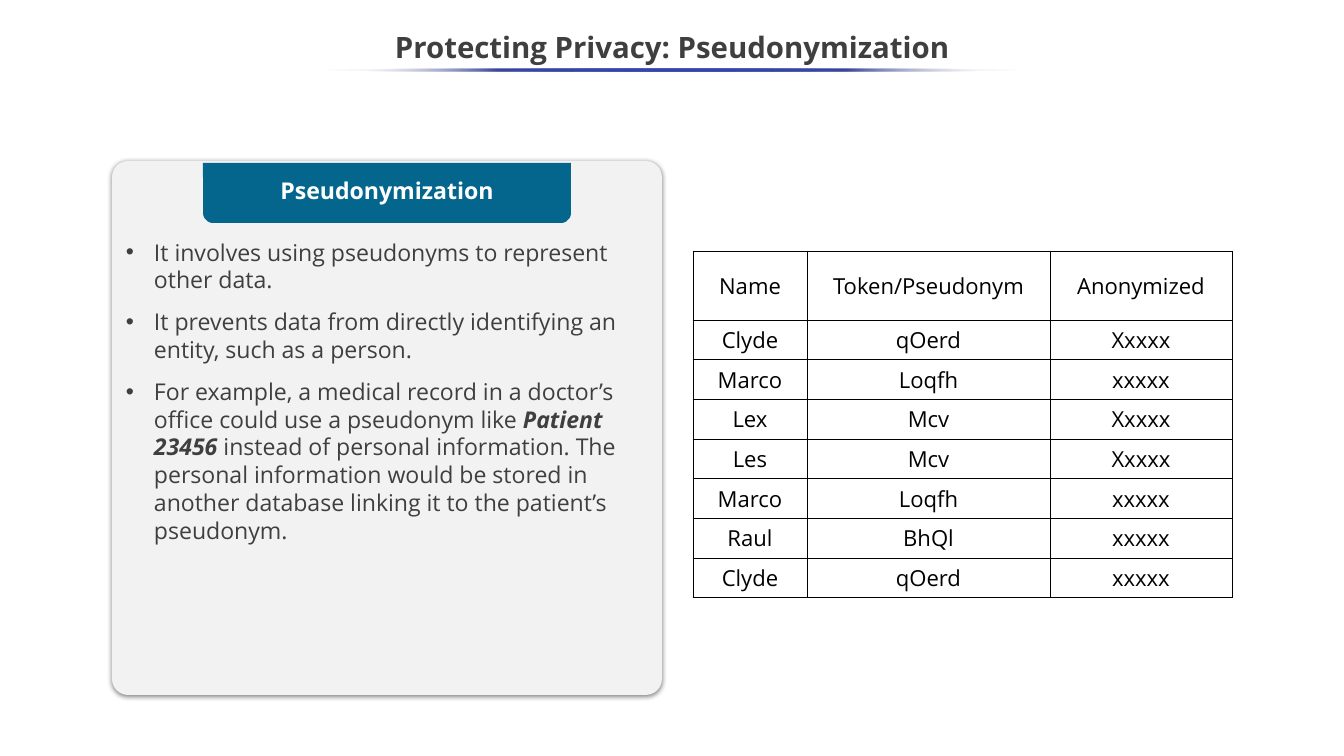
from lxml.etree import SubElement
from pptx import Presentation
from pptx.dml.color import RGBColor
from pptx.enum.shapes import MSO_SHAPE
from pptx.enum.text import MSO_ANCHOR, PP_ALIGN
from pptx.oxml import parse_xml
from pptx.oxml.ns import nsdecls, qn
from pptx.util import Pt

PX = 12095
FONT = "Open Sans"
INK = RGBColor(0x3F, 0x3F, 0x3F)
WHITE = RGBColor(0xFF, 0xFF, 0xFF)
BLACK = RGBColor(0x00, 0x00, 0x00)
PANEL = RGBColor(0xF2, 0xF2, 0xF2)
TEAL = RGBColor(0x05, 0x66, 0x8D)
INDIGO = RGBColor(0x36, 0x45, 0xA9)

POINTS = [
    [("It involves using pseudonyms to represent other data.", False)],
    [("It prevents data from directly identifying an entity, such as a person.", False)],
    [
        ("For example, a medical record in a doctor’s office could use a pseudonym like ", False),
        ("Patient 23456 ", True),
        ("instead of personal information. The personal information would be stored in "
         "another database linking it to the patient’s pseudonym.", False),
    ],
]
RECORDS = [
    ("Name", "Token/Pseudonym", "Anonymized"),
    ("Clyde", "qOerd", "Xxxxx"),
    ("Marco", "Loqfh", "xxxxx"),
    ("Lex", "Mcv", "Xxxxx"),
    ("Les", "Mcv", "Xxxxx"),
    ("Marco", "Loqfh", "xxxxx"),
    ("Raul", "BhQl", "xxxxx"),
    ("Clyde", "qOerd", "xxxxx"),
]


def emu(*lengths):
    """Turn px lengths into EMU."""
    return [round(length * PX) for length in lengths]


def style(paragraph, size, color, bold=None):
    """Set the font of a whole paragraph."""
    font = paragraph.font
    font.name, font.size, font.bold = FONT, Pt(size), bold
    font.color.rgb = color


def add_form(slide, kind, box, color=None):
    """Add a borderless preset shape, filled when a colour is given."""
    form = slide.shapes.add_shape(kind, *emu(*box))
    form.shadow.inherit = False
    form.line.fill.background()
    if color is not None:
        form.fill.solid()
        form.fill.fore_color.rgb = color
    return form


def add_heading(slide, box, text, size, color):
    """Add one centred bold line in the middle of a box."""
    frame = slide.shapes.add_textbox(*emu(*box)).text_frame
    frame.word_wrap = True
    frame.vertical_anchor = MSO_ANCHOR.MIDDLE
    heading = frame.paragraphs[0]
    heading.text = text
    heading.alignment = PP_ALIGN.CENTER
    heading.line_spacing = 0.9
    style(heading, size, color, True)


def add_title(slide, box):
    """Add the slide title with its fading underline."""
    left, top, width, height = box
    add_heading(slide, box, "Protecting Privacy: Pseudonymization", 28, INK)
    rule_width = 694
    underline = add_form(slide, MSO_SHAPE.OVAL,
                         (left + (width - rule_width) // 2, top + 48, rule_width, 3))
    underline.fill.gradient()
    underline.fill.gradient_angle = 0
    stops = underline.fill._fill._gradFill.find(qn("a:gsLst"))
    for stop in list(stops):
        stops.remove(stop)
    for percent, color, alpha in ((0, WHITE, 0), (25, INDIGO, 100), (50, INDIGO, 100),
                                  (75, INDIGO, 100), (100, WHITE, 0)):
        stop = SubElement(stops, qn("a:gs"), pos=str(percent * 1000))
        tint = SubElement(stop, qn("a:srgbClr"), val=str(color))
        SubElement(tint, qn("a:alpha"), val=str(alpha * 1000))


def add_definition(slide, box):
    """Add the shadowed panel with its tab and bullet points."""
    left, top, width, height = box
    panel = add_form(slide, MSO_SHAPE.ROUNDED_RECTANGLE, box, PANEL)
    panel.adjustments[0] = 0.03
    effects = panel._element.spPr.find(qn("a:effectLst"))
    effects.append(parse_xml(
        f'<a:outerShdw {nsdecls("a")} blurRad="{Pt(4.5)}" dist="{Pt(1.5)}" dir="5400000" '
        'algn="t" rotWithShape="0"><a:srgbClr val="000000"><a:alpha val="50000"/>'
        '</a:srgbClr></a:outerShdw>'))

    tab_width = 368
    tab_box = (left + (width - tab_width) // 2, top + 2, tab_width, 60)
    tab = add_form(slide, MSO_SHAPE.ROUND_2_SAME_RECTANGLE, tab_box, TEAL)
    tab.rotation = 180
    add_heading(slide, (left + 135, top + 15, 280, 32), "Pseudonymization", 22, WHITE)

    frame = slide.shapes.add_textbox(*emu(left, top + 63, width, 376)).text_frame
    frame.word_wrap = True
    inset, indent = emu(14, 28)
    frame.margin_left = frame.margin_right = frame.margin_top = frame.margin_bottom = inset
    for index, runs in enumerate(POINTS):
        point = frame.add_paragraph() if index else frame.paragraphs[0]
        properties = point._p.get_or_add_pPr()
        properties.set("marL", str(indent))
        properties.set("indent", str(-indent))
        point.line_spacing = 1.0
        if index:
            point.space_before = Pt(13.6)
        bullet_color = SubElement(properties, qn("a:buClr"))
        SubElement(bullet_color, qn("a:srgbClr"), val=str(INK))
        SubElement(properties, qn("a:buFont"), typeface="Arial")
        SubElement(properties, qn("a:buChar"), char="•")
        style(point, 22, INK)
        for text, strong in runs:
            run = point.add_run()
            run.text = text
            if strong:
                run.font.bold = run.font.italic = True


def add_border(cell):
    """Draw a thin black line on each side of a cell."""
    properties = cell._tc.get_or_add_tcPr()
    for side in ("lnL", "lnR", "lnT", "lnB"):
        edge = SubElement(properties, qn(f"a:{side}"), w=str(Pt(1)))
        fill = SubElement(edge, qn("a:solidFill"))
        SubElement(fill, qn("a:srgbClr"), val=str(BLACK))


def add_records(slide, box):
    """Add the table of names, tokens and anonymized values."""
    height, header_height = box[3], 69
    table = slide.shapes.add_table(len(RECORDS), len(RECORDS[0]), *emu(*box)).table
    table.first_row = table.horz_banding = False
    for column, width in zip(table.columns, emu(114, 243, 182)):
        column.width = width
    row_height = (height - header_height) / (len(RECORDS) - 1)
    for index, (row, record) in enumerate(zip(table.rows, RECORDS)):
        row.height = emu(row_height if index else header_height)[0]
        for cell, value in zip(row.cells, record):
            add_border(cell)
            cell.fill.background()
            cell.vertical_anchor = MSO_ANCHOR.MIDDLE
            entry = cell.text_frame.paragraphs[0]
            entry.text = value
            entry.alignment = PP_ALIGN.CENTER
            style(entry, 21, BLACK)


def main():
    """Build and save the slide."""
    deck = Presentation()
    deck.slide_width, deck.slide_height = emu(1344, 756)
    slide = deck.slides.add_slide(deck.slide_layouts[6])
    add_title(slide, (0, 21, 1344, 55))
    add_definition(slide, (112, 161, 550, 534))
    add_records(slide, (693, 251, 539, 347))
    deck.save("out.pptx")


if __name__ == "__main__":
    main()
